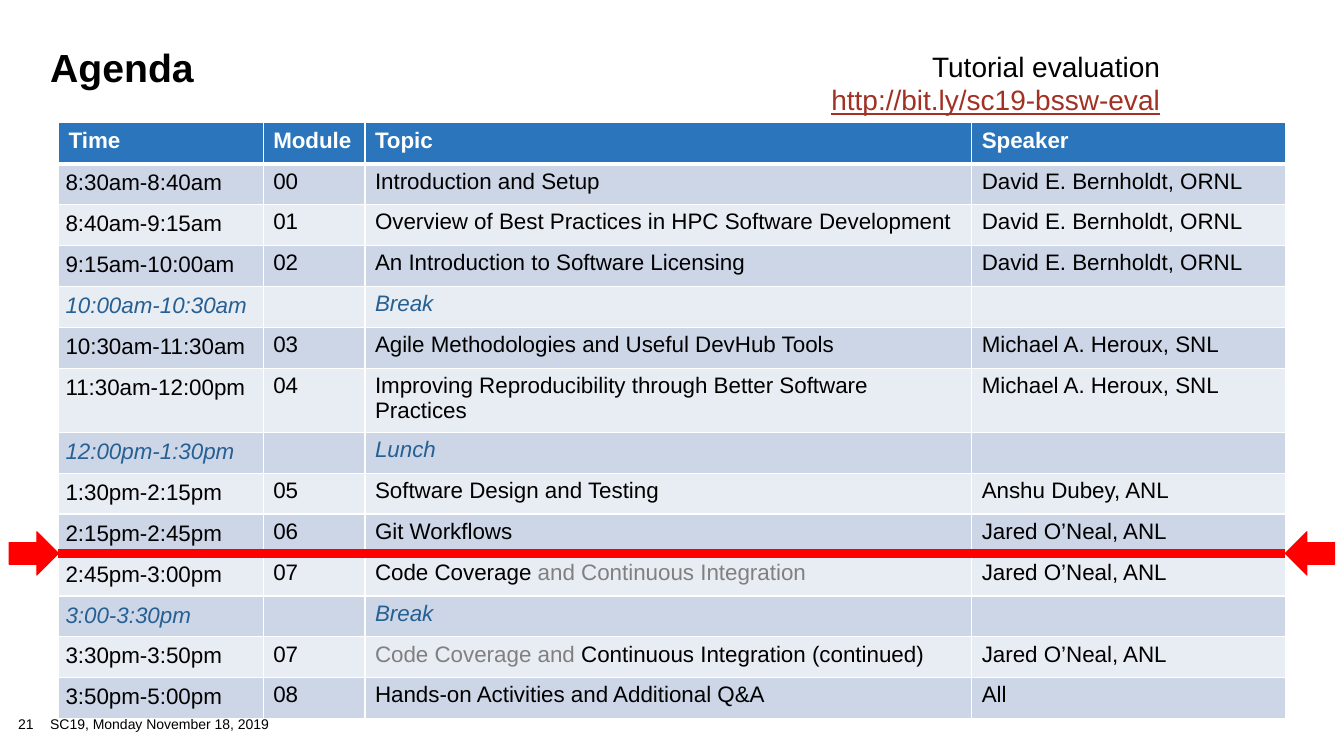
from lxml import etree
from pptx import Presentation
from pptx.dml.color import RGBColor
from pptx.enum.shapes import MSO_CONNECTOR, MSO_SHAPE
from pptx.enum.text import MSO_ANCHOR, PP_ALIGN
from pptx.oxml.ns import qn
from pptx.util import Pt

LINE = MSO_CONNECTOR.STRAIGHT
ARROW = MSO_SHAPE.RIGHT_ARROW
MIDDLE = MSO_ANCHOR.MIDDLE
LEFT, RIGHT = PP_ALIGN.LEFT, PP_ALIGN.RIGHT

INKS = {
    "black": "000000", "white": "FFFFFF", "gray": "808080", "head": "2A75BB",
    "odd": "CDD6E7", "even": "E8ECF3", "pause": "266093", "link": "A03123",
    "mark": "FF0000",
}
WIDTHS = [146.2, 72.7, 433.4, 223.9]
ROW = 29.25
HEADS = ["Time", "Module", "Topic", "Speaker"]
DAVID = "David E. Bernholdt, ORNL"
MIKE = "Michael A. Heroux, SNL"
JARED = "Jared O’Neal, ANL"
AGENDA = [
    ("8:30am-8:40am", "00", "Introduction and Setup", DAVID),
    ("8:40am-9:15am", "01", "Overview of Best Practices in HPC Software Development", DAVID),
    ("9:15am-10:00am", "02", "An Introduction to Software Licensing", DAVID),
    ("10:00am-10:30am", "", "Break", ""),
    ("10:30am-11:30am", "03", "Agile Methodologies and Useful DevHub Tools", MIKE),
    ("11:30am-12:00pm", "04", "Improving Reproducibility through Better Software Practices", MIKE),
    ("12:00pm-1:30pm", "", "Lunch", ""),
    ("1:30pm-2:15pm", "05", "Software Design and Testing", "Anshu Dubey, ANL"),
    ("2:15pm-2:45pm", "06", "Git Workflows", JARED),
    ("2:45pm-3:00pm", "07",
     [("Code Coverage ", "black"), ("and Continuous Integration", "gray")], JARED),
    ("3:00-3:30pm", "", "Break", ""),
    ("3:30pm-3:50pm", "07",
     [("Code Coverage and ", "gray"), ("Continuous Integration (continued)", "black")], JARED),
    ("3:50pm-5:00pm", "08", "Hands-on Activities and Additional Q&A", "All"),
]


def tint(name):
    """Return the named colour."""
    return RGBColor.from_string(INKS[name])


def style(para, size, ink="black", bold=False, italic=False):
    """Set the font of a whole paragraph."""
    font = para.font
    font.name, font.size = "Arial", Pt(size)
    font.bold, font.italic = bold, italic
    font.color.rgb = tint(ink)


def label(slide, box, text, size, bold=False, inset=(7.2, 3.6), align=LEFT, wrap=True):
    """Add a text box and return its frame."""
    frame = slide.shapes.add_textbox(*map(Pt, box)).text_frame
    frame.word_wrap = wrap
    frame.margin_left = frame.margin_right = Pt(inset[0])
    frame.margin_top = frame.margin_bottom = Pt(inset[1])
    para = frame.paragraphs[0]
    para.text, para.alignment = text, align
    style(para, size, bold=bold)
    return frame


def edge(cell, below):
    """Draw white borders, with the lower one of the given width."""
    props = cell._tc.get_or_add_tcPr()
    sides = [("a:lnL", 1), ("a:lnR", 1), ("a:lnT", 1), ("a:lnB", below)]
    for spot, (tag, width) in enumerate(sides):
        line = etree.Element(qn(tag), w=str(Pt(width)))
        fill = etree.SubElement(line, qn("a:solidFill"))
        etree.SubElement(fill, qn("a:srgbClr"), val=INKS["white"])
        props.insert(spot, line)


def write(cell, text, fill, ink, bold=False, italic=False, below=1):
    """Fill one table cell with text, colour and borders."""
    cell.fill.solid()
    cell.fill.fore_color.rgb = tint(fill)
    edge(cell, below)
    para = cell.text_frame.paragraphs[0]
    parts = [(text, ink)] if isinstance(text, str) else text
    for part, shade in parts:
        if part:
            run = para.add_run()
            run.text = part
            if shade != ink:
                run.font.color.rgb = tint(shade)
    style(para, 16, ink, bold, italic)


def header(slide, box):
    """Place the title and the evaluation link."""
    left, top, width, height = box
    label(slide, box, "Agenda", 28, True).paragraphs[0].line_spacing = 0.85
    spot = (left + 555.8, top - 0.7, 251.3, 55.4)
    para = label(slide, spot, "Tutorial evaluation", 20, align=RIGHT, wrap=False).paragraphs[0]
    para.add_line_break()
    run = para.add_run()
    run.text = "http://bit.ly/sc19-bssw-eval"
    run.font.underline = True
    run.font.color.rgb = tint("link")


def agenda(slide, box):
    """Build the timetable."""
    table = slide.shapes.add_table(len(AGENDA) + 1, len(HEADS), *map(Pt, box)).table
    for col, width in zip(table.columns, WIDTHS):
        col.width = Pt(width)
    for row in table.rows:
        row.height = Pt(ROW)
    for col, text in enumerate(HEADS):
        write(table.cell(0, col), text, "head", "white", bold=True, below=3)
    for num, row in enumerate(AGENDA, 1):
        pause = not row[1]
        for col, text in enumerate(row):
            cell = table.cell(num, col)
            write(cell, text, "odd" if num % 2 else "even",
                  "pause" if pause else "black", italic=pause)
            if col == 0:
                cell.margin_left = cell.margin_right = Pt(5)
                cell.margin_top = cell.margin_bottom = Pt(5)


def marker(slide, box):
    """Draw the red line between two arrows that shows the current time."""
    left, top, width, height = box
    wing = 35.3
    mid = top + height / 2
    group = slide.shapes.add_group_shape().shapes
    ends = (left + wing, mid, left + width - wing, mid)
    line = group.add_connector(LINE, *map(Pt, ends))
    line.line.color.rgb = tint("mark")
    line.line.width = Pt(6)
    etree.SubElement(line._element.spPr, qn("a:effectLst"))
    for start, turn in ((left, 0), (left + width - wing, 180)):
        arrow = group.add_shape(ARROW, Pt(start), Pt(top), Pt(wing), Pt(height))
        arrow.rotation = turn
        arrow.shadow.inherit = False
        arrow.fill.solid()
        arrow.fill.fore_color.rgb = arrow.line.color.rgb = tint("mark")
        arrow.line.width = Pt(0.75)


def footer(slide, box):
    """Place the slide number and the event line."""
    left, top, width, height = box
    number = label(slide, (left, top + 2.9, 40.3, 11.5), "21", 10, inset=(0, 0))
    number.paragraphs[0].line_spacing = 0.9
    event = (left + 15.8, top, width - 15.8, height)
    label(slide, event, "SC19, Monday November 18, 2019", 10).vertical_anchor = MIDDLE


def main():
    """Build and save the slide."""
    deck = Presentation()
    deck.slide_width, deck.slide_height = Pt(960), Pt(540)
    slide = deck.slides.add_slide(deck.slide_layouts[6])
    footer(slide, (13, 509.8, 277.2, 14.4))
    header(slide, (28.8, 32.4, 895.7, 72))
    agenda(slide, (41.8, 87.8, sum(WIDTHS), ROW * (len(AGENDA) + 1)))
    marker(slide, (6.5, 379.8, 946.8, 31))
    deck.save("out.pptx")


if __name__ == "__main__":
    main()
